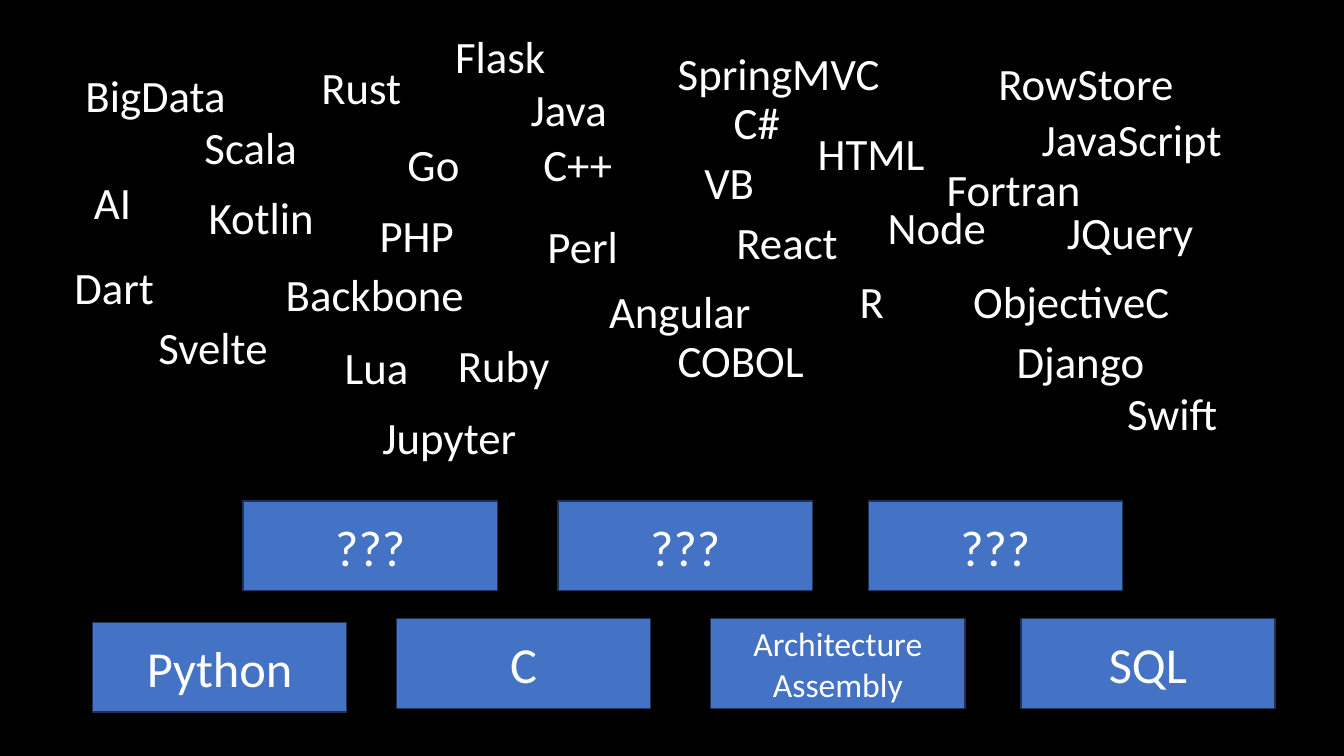
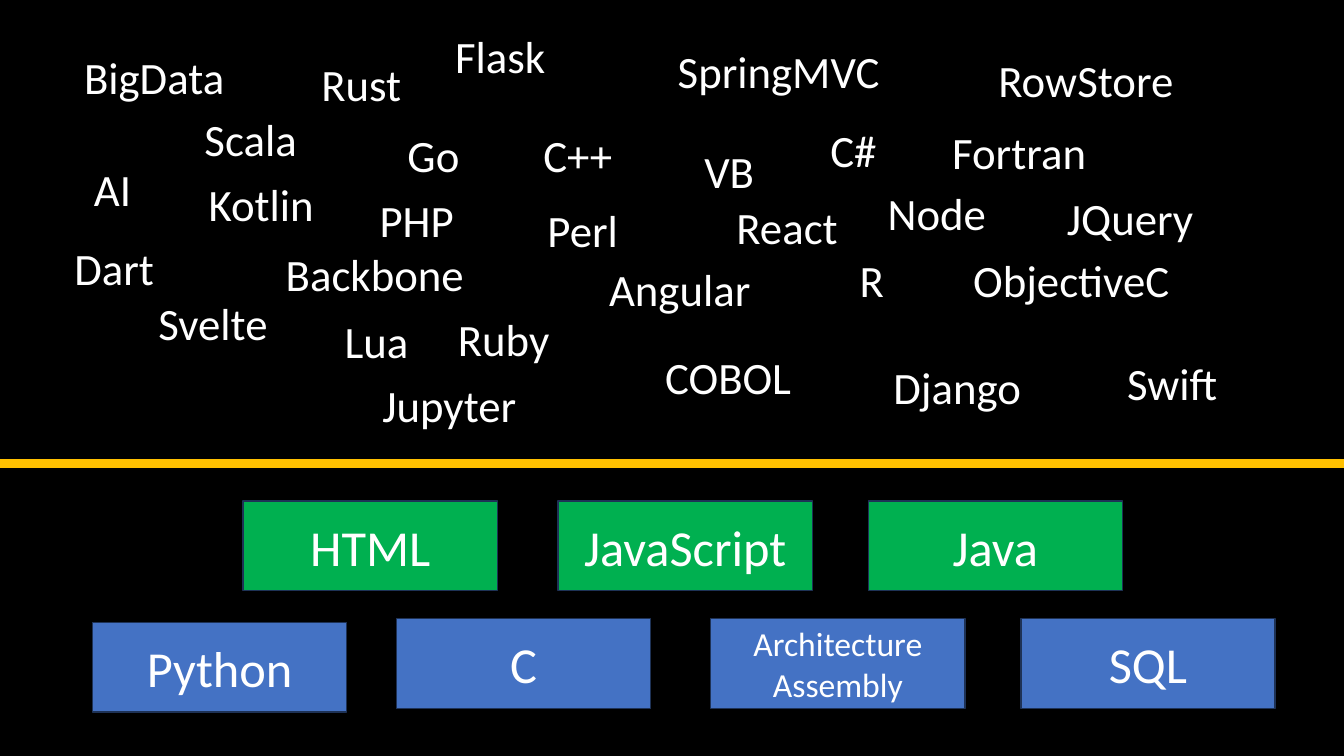
from lxml import etree
from pptx import Presentation
from pptx.dml.color import RGBColor
from pptx.enum import shapes, text
from pptx.oxml import ns
from pptx.util import Pt

COLORS = {"bg": "000000", "text": "FFFFFF", "known": "4472C4",
          "edge": "1E3256", "chosen": "00B050", "divider": "FFC000"}
FONT = "Calibri"
CLOUD_H = 322
WORD_H = 50
BOX_W, BOX_H = 181.5, 64

WORDS = {
    "Scala": (93, 65, 81), "Rust": (176.5, 22, 72), "Go": (238, 77, 52),
    "C++": (335, 77, 64), "Java": (326, 38, 70), "C#": (471, 47, 48),
    "VB": (450, 90, 50), "Perl": (338, 136, 66), "PHP": (218, 128, 68),
    "React": (473, 133, 88), "Angular": (382, 182, 117),
    "JavaScript": (691, 59, 145), "Node": (581, 122, 86),
    "SpringMVC": (431, 12, 161), "Jupyter": (220, 272, 112),
    "RowStore": (660, 19, 146), "COBOL": (431, 217, 106),
    "Ruby": (274, 221, 81), "R": (561, 175, 32), "Swift": (752, 255, 81),
    "ObjectiveC": (642, 175, 156), "Kotlin": (96, 115, 91),
    "Fortran": (623, 95, 112), "Dart": (0, 165, 72),
    "Svelte": (60, 208, 94), "Lua": (193, 222, 60),
    "Backbone": (151, 170, 143), "JQuery": (709, 126, 106),
    "BigData": (8, 28, 116), "AI": (14, 104, 42), "HTML": (531, 69, 91),
    "Django": (673, 218, 107), "Flask": (272, 0, 80),
}
MOVED = {"C#": (540, 73, 48), "BigData": (7, 16, 116),
         "COBOL": (422, 250, 106), "Fortran": (627, 75, 112),
         "Django": (585, 258, 107)}
CHOSEN = ["HTML", "JavaScript", "Java"]


def rgb(name):
    return RGBColor.from_string(COLORS[name])


def set_font(p, size):
    p.font.name = FONT
    p.font.size = Pt(size)
    p.font.color.rgb = rgb("text")


def add_cloud(s, box, words):
    left, top, height = box
    scale = height / CLOUD_H
    grp = s.shapes.add_group_shape()
    for word, (x, y, w) in words.items():
        sp = grp.shapes.add_textbox(Pt(left + x), Pt(top + y * scale),
                                    Pt(w), Pt(WORD_H * scale))
        tf = sp.text_frame
        tf.word_wrap = False
        tf.auto_size = text.MSO_AUTO_SIZE.SHAPE_TO_FIT_TEXT
        tf.text = word
        set_font(tf.paragraphs[0], 32)


def add_box(s, left, top, label, fill, size=36):
    sp = s.shapes.add_shape(shapes.MSO_SHAPE.RECTANGLE, Pt(left), Pt(top),
                            Pt(BOX_W), Pt(BOX_H))
    sp.shadow.inherit = False
    sp.fill.solid()
    sp.fill.fore_color.rgb = rgb(fill)
    sp.line.color.rgb = rgb("edge")
    sp.line.width = Pt(1)
    tf = sp.text_frame
    tf.word_wrap = True
    tf.vertical_anchor = text.MSO_ANCHOR.MIDDLE
    tf.text = label
    for p in tf.paragraphs:
        p.alignment = text.PP_ALIGN.CENTER
        set_font(p, size)


def add_stack(s, left, top, upper, upper_fill):
    add_box(s, left, top + 86.5, "Python", "known")
    add_box(s, left + 217, top + 84, "C", "known")
    add_box(s, left + 441.5, top + 84, "Architecture\nAssembly", "known", 24)
    add_box(s, left + 663, top + 84, "SQL", "known")
    for x, label in zip((107.5, 332.5, 554), upper):
        add_box(s, left + x, top, label, upper_fill)


def add_divider(s, y, width):
    line = s.shapes.add_connector(shapes.MSO_CONNECTOR.STRAIGHT,
                                  0, Pt(y), Pt(width), Pt(y))
    line.line.color.rgb = rgb("divider")
    line.line.width = Pt(6)
    etree.SubElement(line._element.spPr, ns.qn("a:effectLst"))


def add_languages_slide(prs, words, cloud_height, upper, upper_fill):
    s = prs.slides.add_slide(prs.slide_layouts[6])
    s.background.fill.solid()
    s.background.fill.fore_color.rgb = rgb("bg")
    add_cloud(s, (46, 17, cloud_height), words)
    add_stack(s, 66.2, 358, upper, upper_fill)
    return s


def main():
    prs = Presentation()
    prs.slide_width, prs.slide_height = Pt(960), Pt(540)
    add_languages_slide(prs, WORDS, CLOUD_H, ["???"] * 3, "known")
    remaining = {word: MOVED.get(word, place)
                 for word, place in WORDS.items() if word not in CHOSEN}
    s = add_languages_slide(prs, remaining, 295, CHOSEN, "chosen")
    add_divider(s, 331, 960)
    prs.save("out.pptx")


if __name__ == "__main__":
    main()
